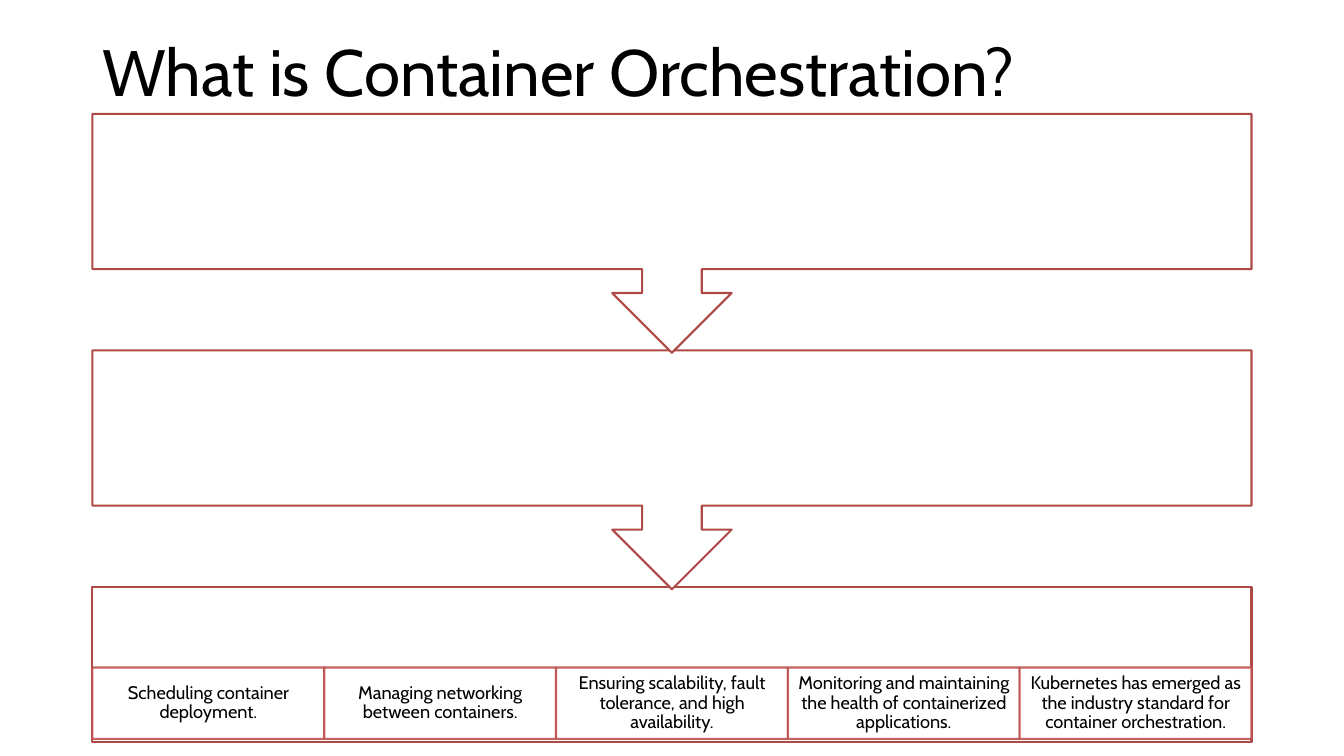
"""Build the container orchestration slide with a three-step flow."""
from dataclasses import dataclass

from lxml import etree
from pptx import Presentation
from pptx.dml.color import RGBColor
from pptx.enum.shapes import MSO_SHAPE
from pptx.enum.text import MSO_ANCHOR, PP_ALIGN
from pptx.oxml.ns import qn
from pptx.util import Cm, Pt

RECT = MSO_SHAPE.RECTANGLE
CALLOUT = MSO_SHAPE.DOWN_ARROW_CALLOUT
MIDDLE = MSO_ANCHOR.MIDDLE
LEFT, CENTER = PP_ALIGN.LEFT, PP_ALIGN.CENTER


@dataclass(frozen=True)
class Theme:
    font: str = "Cabin"
    ink: RGBColor = RGBColor(0x00, 0x00, 0x00)
    paper: RGBColor = RGBColor(0xFF, 0xFF, 0xFF)
    frame: RGBColor = RGBColor(0xAE, 0x49, 0x46)
    cell: RGBColor = RGBColor(0xC0, 0x50, 0x4D)
    title_size: float = 46.8
    cell_size: float = 13
    line_width: float = 1.5


THEME = Theme()


def add_box(kind, left, top, width, height, line_color):
    sp = s.shapes.add_shape(kind, Cm(left), Cm(top), Cm(width), Cm(height))
    sp.shadow.inherit = False
    sp.fill.solid()
    sp.fill.fore_color.rgb = THEME.paper
    sp.line.color.rgb = line_color
    sp.line.width = Pt(THEME.line_width)
    return sp


def write_text(sp, text, size, align):
    tf = sp.text_frame
    tf.word_wrap = True
    tf.vertical_anchor = MIDDLE
    p = tf.paragraphs[0]
    p.text = text
    p.alignment = align
    p.line_spacing = 0.9
    p.font.name = THEME.font
    p.font.size = Pt(size)
    p.font.color.rgb = THEME.ink
    return tf


LEFT_EDGE, FULL_WIDTH = 2.33, 29.21
FLOW_TOP, STEP = 2.87, 5.96
CALLOUT_HEIGHT, FRAME_HEIGHT = 6.02, 3.91
CELL_TOP, CELL_HEIGHT = 16.82, 1.8
DUTIES = [
    "Scheduling container deployment.",
    "Managing networking between containers.",
    "Ensuring scalability, fault tolerance, and high availability.",
    "Monitoring and maintaining the health of containerized applications.",
    "Kubernetes has emerged as the industry standard for container orchestration.",
]

prs = Presentation()
prs.slide_width, prs.slide_height = Cm(33.87), Cm(19.05)
s = prs.slides.add_slide(prs.slide_layouts[6])

title = s.shapes.add_textbox(Cm(LEFT_EDGE), Cm(0.91), Cm(FULL_WIDTH), Cm(1.96))
write_text(title, "What is Container Orchestration?", THEME.title_size, LEFT)

add_box(RECT, LEFT_EDGE, FLOW_TOP + 2 * STEP, FULL_WIDTH, FRAME_HEIGHT, THEME.frame)

cell_width = FULL_WIDTH / len(DUTIES)
for i, duty in enumerate(DUTIES):
    sp = add_box(RECT, LEFT_EDGE + i * cell_width, CELL_TOP, cell_width, CELL_HEIGHT, THEME.cell)
    for color in sp._element.spPr.iter(qn("a:srgbClr")):
        etree.SubElement(color, qn("a:alpha"), val="90000")
    tf = write_text(sp, duty, THEME.cell_size, CENTER)
    tf.margin_left = tf.margin_right = Cm(0.25)
    tf.margin_top = tf.margin_bottom = Cm(0.05)

for row in (1, 0):
    add_box(CALLOUT, LEFT_EDGE, FLOW_TOP + row * STEP, FULL_WIDTH, CALLOUT_HEIGHT, THEME.frame)

prs.save("out.pptx")
